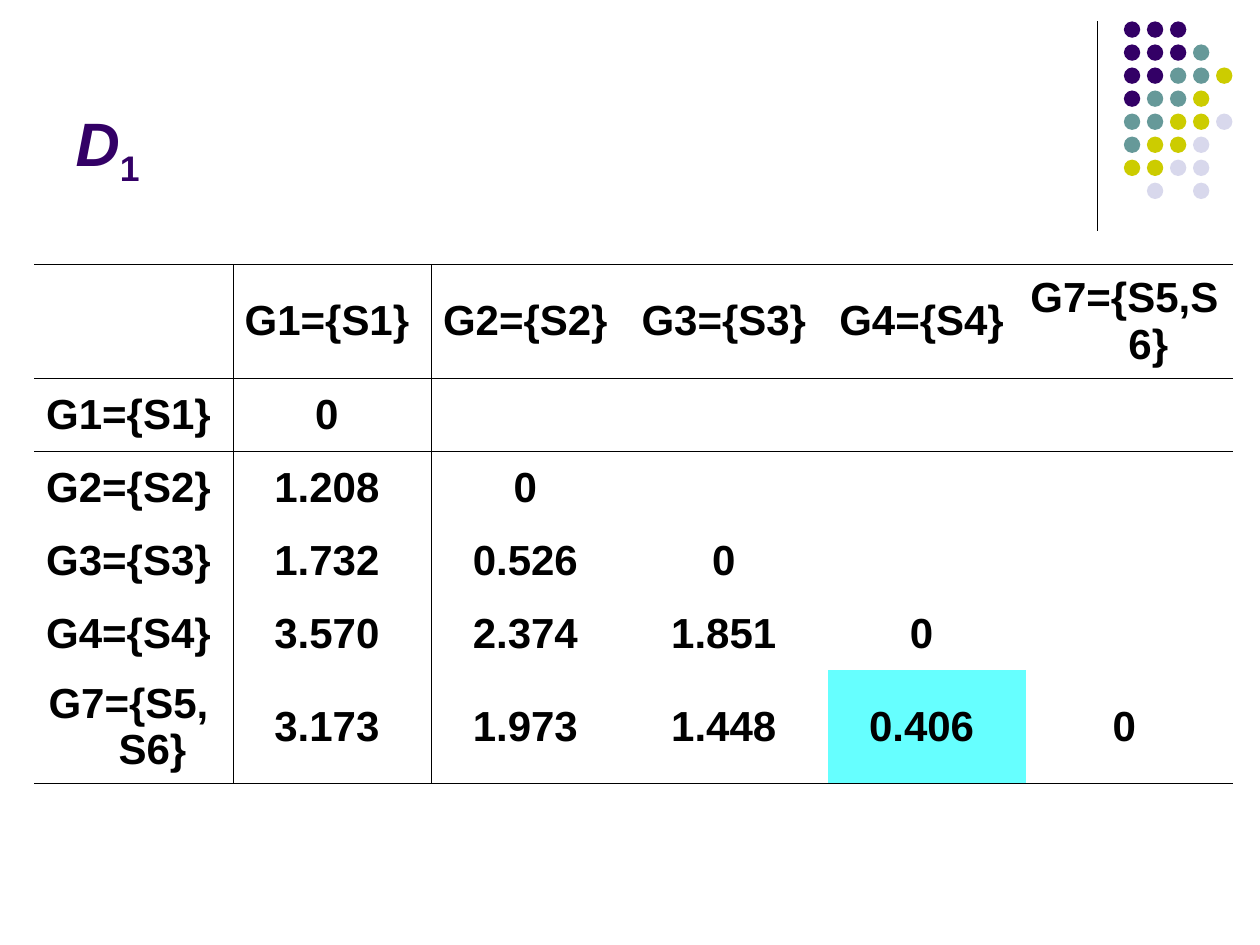
from lxml import etree
from pptx import Presentation
from pptx.dml.color import RGBColor
from pptx.enum import shapes, text
from pptx.oxml import ns
from pptx.util import Inches, Pt

PURPLE, TEAL, YELLOW, LAVENDER = "330066", "669999", "CCCC00", "D8D8EC"
BLACK, HIGHLIGHT = "000000", "66FFFF"
NO_TABLE_STYLE = "{2D5ABB26-0587-4C30-8999-92F81FD0307C}"

DOT_COLORS = {"P": PURPLE, "T": TEAL, "Y": YELLOW, "L": LAVENDER}
DOT_ROWS = ["PPP", "PPPT", "PPTTY", "PTTY", "TTYYL", "TYYL", "YYLL", " L L"]
DOT_PITCH = 1.28 / 7

GROUPS = ["G1={S1}", "G2={S2}", "G3={S3}", "G4={S4}", "G7={S5,S6}"]
DISTANCES = [
    ["0"],
    ["1.208", "0"],
    ["1.732", "0.526", "0"],
    ["3.570", "2.374", "1.851", "0"],
    ["3.173", "1.973", "1.448", "0.406", "0"],
]
HIGHLIGHTED_CELL = (5, 4)
COLUMN_WIDTHS = [1.58, 1.57, 1.58, 1.57, 1.57, 1.65]
ROW_HEIGHTS = [0.9, 0.58, 0.58, 0.58, 0.58, 0.9]


def rgb(color):
    return RGBColor.from_string(color)


def apply_format(target, values):
    for name, value in values.items():
        setattr(target, name, value)


def format_font(font, size, color, **values):
    apply_format(font, {"name": "Arial", "size": Pt(size), "bold": True, **values})
    font.color.rgb = rgb(color)


def add_title(slide):
    title = slide.shapes.title
    apply_format(title, {"left": Inches(0.5), "top": Inches(0.13),
                         "width": Inches(8.25), "height": Inches(1.42)})
    apply_format(title.text_frame, {"vertical_anchor": text.MSO_ANCHOR.BOTTOM,
                                    "auto_size": text.MSO_AUTO_SIZE.NONE,
                                    "word_wrap": True})
    paragraph = title.text_frame.paragraphs[0]
    paragraph.alignment = text.PP_ALIGN.LEFT
    for content, italic in (("D", True), ("1", False)):
        run = paragraph.add_run()
        run.text = content
        format_font(run.font, 35, PURPLE, italic=italic)
    run.font._element.set("baseline", "-25000")


def add_divider(slide):
    line = slide.shapes.add_connector(shapes.MSO_CONNECTOR.STRAIGHT, Inches(8.71),
                                      Inches(0.17), Inches(8.71), Inches(1.83))
    line.line.color.rgb = rgb(BLACK)
    line.line.width = Pt(0.75)
    etree.SubElement(line._element.spPr, ns.qn("a:effectLst"))


def add_dots(slide):
    group = slide.shapes.add_group_shape()
    for row, codes in enumerate(DOT_ROWS):
        for column, code in enumerate(codes):
            if code == " ":
                continue
            dot = group.shapes.add_shape(
                shapes.MSO_SHAPE.OVAL, Inches(8.92 + column * DOT_PITCH),
                Inches(0.17 + row * DOT_PITCH), Inches(0.13), Inches(0.13))
            dot.shadow.inherit = False
            dot.fill.solid()
            dot.fill.fore_color.rgb = rgb(DOT_COLORS[code])
            dot.line.fill.background()


def add_border(cell, side):
    """Draw one cell edge; side is L, R, T or B, added in that order."""
    properties = cell._tc.get_or_add_tcPr()
    line = etree.SubElement(properties, ns.qn(f"a:ln{side}"), w=str(Pt(0.45)))
    fill = etree.SubElement(line, ns.qn("a:solidFill"))
    etree.SubElement(fill, ns.qn("a:srgbClr"), val=BLACK)


def border_sides(row, column):
    """Rules run above and below the header, below the table and after column one."""
    rules = {"L": column == 1, "R": column == 0,
             "T": row in (0, 1), "B": row in (0, len(GROUPS))}
    return [side for side, drawn in rules.items() if drawn]


def fill_cell(cell, content, hanging):
    apply_format(cell, {"vertical_anchor": text.MSO_ANCHOR.MIDDLE,
                        "margin_left": Inches(0.02), "margin_right": Inches(0.1),
                        "margin_top": Inches(0.05), "margin_bottom": Inches(0.05)})
    paragraph = cell.text_frame.paragraphs[0]
    paragraph.alignment = text.PP_ALIGN.CENTER
    properties = paragraph._p.get_or_add_pPr()
    properties.set("marL", str(Inches(hanging)))
    properties.set("indent", str(-Inches(hanging)))
    run = paragraph.add_run()
    run.text = content
    format_font(run.font, 24, BLACK)


def add_distance_table(slide):
    rows = [["", *GROUPS]]
    rows += [[name, *values] for name, values in zip(GROUPS, DISTANCES)]
    frame = slide.shapes.add_table(len(rows), len(rows[0]), Inches(0.27), Inches(2.1),
                                   Inches(sum(COLUMN_WIDTHS)), Inches(sum(ROW_HEIGHTS)))
    frame._element.xpath(".//a:tableStyleId")[0].text = NO_TABLE_STYLE
    table = frame.table
    apply_format(table, {"first_row": False, "horz_banding": False})
    for column, width in zip(table.columns, COLUMN_WIDTHS):
        column.width = Inches(width)
    for row, height in zip(table.rows, ROW_HEIGHTS):
        row.height = Inches(height)

    for row in range(len(rows)):
        for column in range(len(COLUMN_WIDTHS)):
            cell = table.cell(row, column)
            for side in border_sides(row, column):
                add_border(cell, side)
            if (row, column) == HIGHLIGHTED_CELL:
                cell.fill.solid()
                cell.fill.fore_color.rgb = rgb(HIGHLIGHT)
            else:
                cell.fill.background()
            if column < len(rows[row]) and rows[row][column]:
                is_label = row == 0 or column == 0
                fill_cell(cell, rows[row][column], 0.38 if is_label else 0.51)


def main():
    presentation = Presentation()
    presentation.slide_width = Inches(10)
    presentation.slide_height = Inches(7.5)
    slide = presentation.slides.add_slide(presentation.slide_layouts[5])
    add_divider(slide)
    add_dots(slide)
    add_title(slide)
    add_distance_table(slide)
    presentation.save("out.pptx")


if __name__ == "__main__":
    main()
